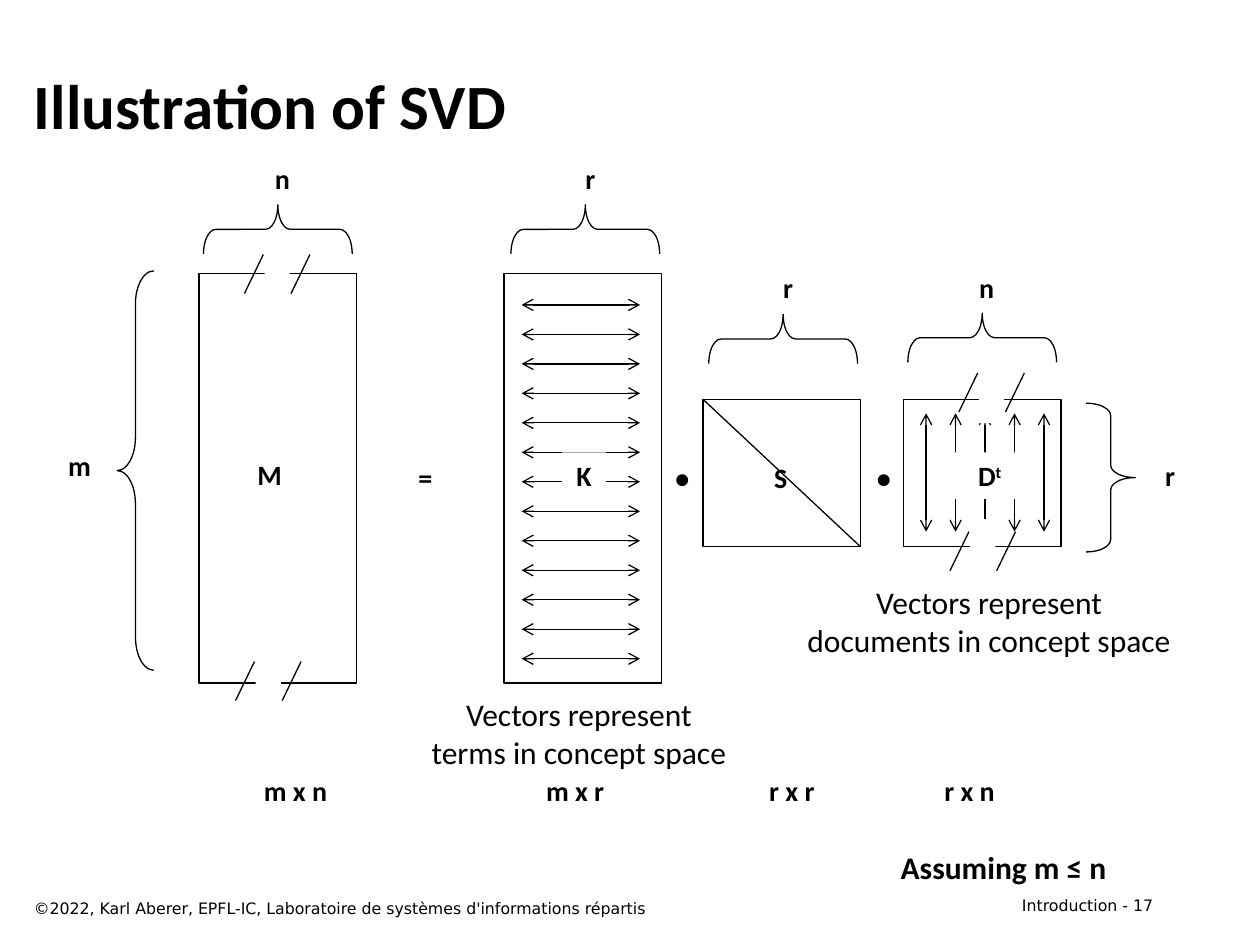
from typing import NamedTuple, Optional

from lxml.etree import SubElement
from pptx import Presentation
from pptx.dml.color import RGBColor
from pptx.enum.shapes import MSO_CONNECTOR, MSO_SHAPE
from pptx.enum.text import MSO_ANCHOR, MSO_AUTO_SIZE, PP_ALIGN
from pptx.oxml.ns import qn
from pptx.util import Inches, Pt

BLACK = "000000"
WHITE = "FFFFFF"
LINE_WIDTH = Pt(0.75)


class Box(NamedTuple):
    left: float
    top: float
    width: float
    height: float


class Label(NamedTuple):
    text: str
    box: Box
    size: float = 16
    bold: bool = True


class Brace(NamedTuple):
    box: Box
    rotation: float = 90
    curl: float = 0.25


MATRIX_M = Box(1.58, 2.17, 1.25, 3.25)
MATRIX_K = Box(4, 2.17, 1.25, 3.25)
MATRIX_S = Box(5.58, 3.17, 1.25, 1.17)
MATRIX_D = Box(7.17, 3.17, 1.25, 1.17)

BRACES = [
    Brace(Box(0.93, 2.15, 0.29, 3.17), rotation=0, curl=0.907),
    Brace(Box(2.01, 1.23, 0.39, 1.18)),
    Brace(Box(4.45, 1.23, 0.39, 1.18)),
    Brace(Box(6.02, 2.1, 0.39, 1.18)),
    Brace(Box(7.6, 2.09, 0.39, 1.18)),
    Brace(Box(8.62, 3.2, 0.39, 1.18), rotation=180),
]

LABELS = [
    # Operators and matrix names
    Label("=", Box(3.22, 3.61, 0.31, 0.37)),
    Label("•", Box(5.26, 3.61, 0.31, 0.37)),
    Label("•", Box(6.86, 3.61, 0.31, 0.37)),
    Label("M", Box(1.92, 3.58, 0.44, 0.37)),
    Label("S", Box(6.04, 3.61, 0.31, 0.37)),
    # Dimensions beside the braces
    Label("m", Box(0.44, 3.51, 0.38, 0.37)),
    Label("n", Box(2.08, 1.23, 0.32, 0.37)),
    Label("r", Box(4.54, 1.23, 0.29, 0.37)),
    Label("r", Box(6.11, 2.1, 0.29, 0.37)),
    Label("n", Box(7.67, 2.1, 0.32, 0.37)),
    Label("r", Box(9.14, 3.59, 0.29, 0.37)),
    # Matrix sizes
    Label("m x n", Box(1.99, 6.09, 0.71, 0.37)),
    Label("m x r", Box(4.23, 6.09, 0.67, 0.37)),
    Label("r x r", Box(6, 6.09, 0.57, 0.37)),
    Label("r x n", Box(7.39, 6.09, 0.61, 0.37)),
    # Explanations
    Label("Assuming m ≤ n", Box(7.04, 6.68, 1.85, 0.4), size=18),
    Label("Vectors represent\ndocuments in concept space",
          Box(6.29, 4.58, 3.12, 0.71), size=18, bold=False),
    Label("Vectors represent\nterms in concept space",
          Box(3.31, 5.47, 2.57, 0.71), size=18, bold=False),
]

ARROW_STEP = 0.234
BREAKS = [(2.09, 2.02), (2.02, 5.25), (7.76, 2.96), (7.69, 4.22)]

presentation = Presentation()
presentation.slide_width = Inches(10)
presentation.slide_height = Inches(7.5)
slide = presentation.slides.add_slide(presentation.slide_layouts[6])


def color(value: str) -> RGBColor:
    return RGBColor.from_string(value)


def lengths(box: Box) -> list:
    return [Inches(value) for value in box]


def write(shape, text: str, *, size: float = 16, bold: bool = True,
          font: str = "Calibri", align=PP_ALIGN.CENTER, wrap: bool = False,
          grow: bool = True, anchor=MSO_ANCHOR.TOP, superscript: str = "") -> None:
    frame = shape.text_frame
    frame.word_wrap = wrap
    frame.auto_size = MSO_AUTO_SIZE.SHAPE_TO_FIT_TEXT if grow else MSO_AUTO_SIZE.NONE
    frame.vertical_anchor = anchor
    for index, line in enumerate(text.split("\n")):
        paragraph = frame.add_paragraph() if index else frame.paragraphs[0]
        paragraph.alignment = align
        for part in filter(None, (line, superscript)):
            run = paragraph.add_run()
            run.text = part
            run.font.name = font
            run.font.size = Pt(size)
            run.font.bold = bold
            run.font.color.rgb = color(BLACK)
    if superscript:
        run.font._element.set("baseline", "30000")


def add_text(text: str, box: Box, **text_format) -> None:
    write(slide.shapes.add_textbox(*lengths(box)), text, **text_format)


def add_shape(kind, box: Box, *, fill: Optional[str] = None,
              line: Optional[str] = None):
    shape = slide.shapes.add_shape(kind, *lengths(box))
    shape.shadow.inherit = False
    if fill:
        shape.fill.solid()
        shape.fill.fore_color.rgb = color(fill)
    else:
        shape.fill.background()
    if line:
        shape.line.color.rgb = color(line)
        shape.line.width = LINE_WIDTH
    else:
        shape.line.fill.background()
    return shape


def add_line(x1: float, y1: float, x2: float, y2: float, arrows: bool = False) -> None:
    points = [Inches(value) for value in (x1, y1, x2, y2)]
    connector = slide.shapes.add_connector(MSO_CONNECTOR.STRAIGHT, *points)
    connector.line.color.rgb = color(BLACK)
    connector.line.width = LINE_WIDTH
    if arrows:
        line_element = connector.line._get_or_add_ln()
        for end in ("a:headEnd", "a:tailEnd"):
            SubElement(line_element, qn(end), type="arrow")
    SubElement(connector._element.spPr, qn("a:effectLst"))


def add_brace(brace: Brace) -> None:
    shape = add_shape(MSO_SHAPE.LEFT_BRACE, brace.box, line=BLACK)
    shape.rotation = brace.rotation
    shape.adjustments[0] = brace.curl


def add_break(x: float, y: float) -> None:
    """Two slashes with a white gap over a matrix edge."""
    for left in (x, x + 0.37):
        add_line(left, y, left - 0.15, y + 0.31)
    add_shape(MSO_SHAPE.RECTANGLE, Box(x + 0.01, y - 0.1, 0.2, 0.5), fill=WHITE)


# Title and footer
add_text("Illustration of SVD", Box(0.17, 0.33, 9.08, 1), size=36,
         align=PP_ALIGN.LEFT, wrap=True, grow=False, anchor=MSO_ANCHOR.MIDDLE)
footer = dict(size=9, bold=False, font="DejaVu Sans", wrap=True, grow=False)
add_text("Introduction - 17", Box(7.17, 7.06, 2.08, 0.25),
         align=PP_ALIGN.RIGHT, **footer)
add_text("©2022, Karl Aberer, EPFL-IC, Laboratoire de systèmes d'informations répartis",
         Box(0.17, 7.08, 6.42, 0.25), align=PP_ALIGN.LEFT, **footer)

# Matrices, with the diagonal of S
for matrix in (MATRIX_M, MATRIX_K, MATRIX_S, MATRIX_D):
    add_shape(MSO_SHAPE.RECTANGLE, matrix, line=BLACK)
add_line(MATRIX_S.left, MATRIX_S.top,
         MATRIX_S.left + MATRIX_S.width, MATRIX_S.top + MATRIX_S.height)

# Braces and labels
for brace in BRACES:
    add_brace(brace)
for label in LABELS:
    add_text(label.text, label.box, size=label.size, bold=label.bold)

# Column vectors of D and row vectors of K
for column in range(5):
    x = 7.35 + column * ARROW_STEP
    add_line(x, 3.28, x, 4.22, arrows=True)
for row in range(13):
    y = 2.42 + row * ARROW_STEP
    add_line(5.08, y, 4.14, y, arrows=True)

# Names on white over the vectors
name_d = add_shape(MSO_SHAPE.RECTANGLE, Box(7.58, 3.59, 0.55, 0.37), fill=WHITE)
write(name_d, "D", wrap=True, superscript="t")
name_k = add_shape(MSO_SHAPE.RECTANGLE, Box(4.46, 3.59, 0.35, 0.37), fill=WHITE)
write(name_k, "K", wrap=True)

# Breaks in the edges of length n
for break_x, break_y in BREAKS:
    add_break(break_x, break_y)

presentation.save("out.pptx")
